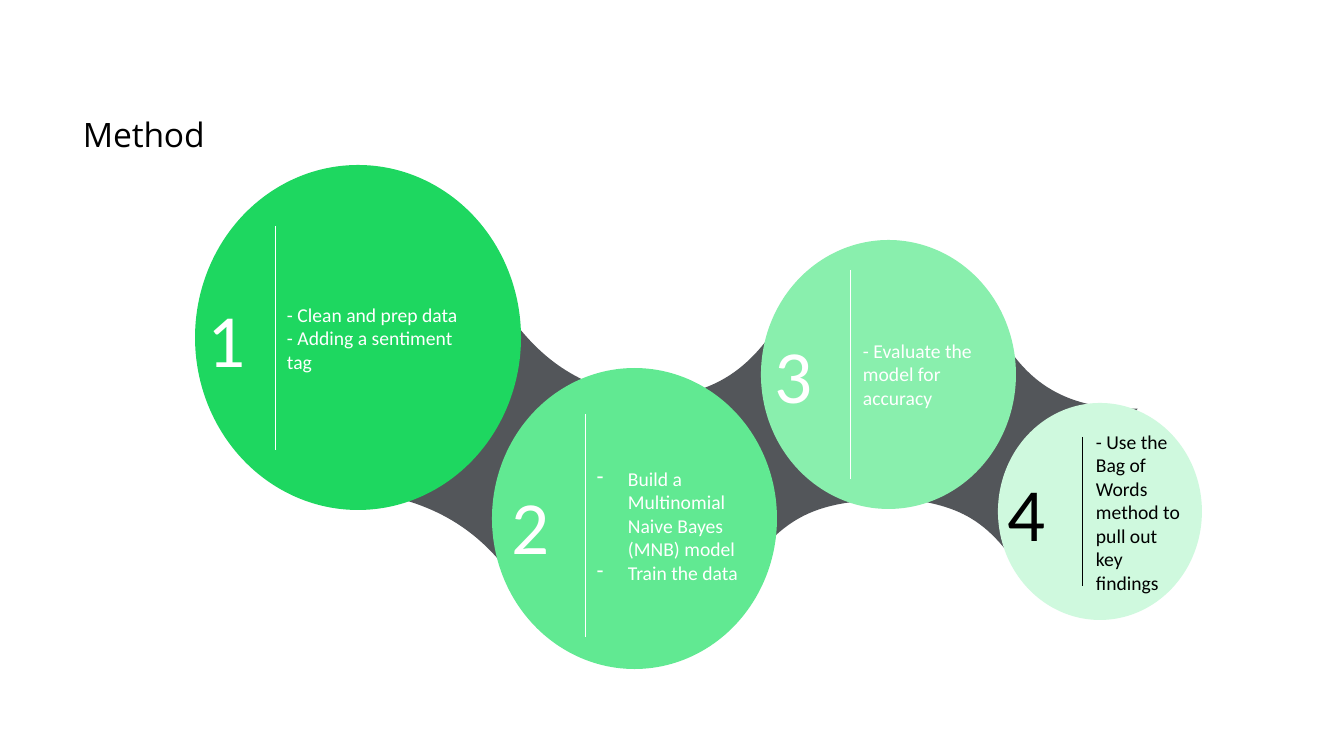
from typing import NamedTuple

from lxml import etree
from pptx import Presentation
from pptx.dml.color import RGBColor
from pptx.enum.shapes import MSO_CONNECTOR, MSO_SHAPE
from pptx.enum.text import MSO_ANCHOR
from pptx.oxml.ns import qn
from pptx.util import Pt

OVAL = MSO_SHAPE.OVAL
LINE = MSO_CONNECTOR.STRAIGHT
MIDDLE = MSO_ANCHOR.MIDDLE
BOTTOM = MSO_ANCHOR.BOTTOM
SCALE = 914400 / 100.8
WHITE, BLACK, GREY = "FFFFFF", "000000", "53565A"


class Box(NamedTuple):
    left: int
    top: int
    width: int
    height: int


class Link(NamedTuple):
    box: Box
    angle: float


class Step(NamedTuple):
    fill: str
    ink: str
    disc: Box
    digit: tuple[int, int]
    rule: tuple[int, int, int]
    body: Box
    lines: list[str]
    dashed: bool = False


NECK = [(0, 0), (0.43, 0.19), (0.62, 0.15), (1, 0),
        (1, 1), (0.63, 0.8), (0.33, 0.83), (0, 1)]
LINKS = [
    Link(Box(926, 349, 170, 207), 211.5),
    Link(Box(671, 340, 178, 216), 151.2),
    Link(Box(393, 320, 235, 256), 33.7),
]
STEPS = [
    Step("1ED760", WHITE, Box(195, 165, 326, 345), (205, 289), (276, 226, 450),
         Box(287, 302, 193, 72),
         ["- Clean and prep data", "- Adding a sentiment tag"]),
    Step("61E992", WHITE, Box(492, 368, 285, 301), (509, 476), (586, 414, 637),
         Box(597, 466, 150, 119),
         ["Build a Multinomial Naive Bayes (MNB) model", "Train the data"], True),
    Step("89EFAD", WHITE, Box(761, 240, 255, 269), (772, 325), (851, 270, 479),
         Box(863, 338, 115, 72), ["- Evaluate the model for accuracy"]),
    Step("CFF9DE", BLACK, Box(998, 403, 204, 217), (1005, 462), (1083, 437, 586),
         Box(1096, 429, 90, 166),
         ["- Use the Bag of Words method to pull out key findings"]),
]


def px(value: float) -> int:
    return round(value * SCALE)


def color(code: str) -> RGBColor:
    return RGBColor.from_string(code)


def paint(shape, code: str) -> None:
    shape.shadow.inherit = False
    shape.fill.solid()
    shape.fill.fore_color.rgb = color(code)
    shape.line.fill.background()


def bend(lines: list) -> None:
    curve = etree.Element(qn("a:cubicBezTo"))
    lines[0].addprevious(curve)
    for line in lines:
        curve.append(line[0])
        line.getparent().remove(line)


def add_link(slide, link: Link) -> None:
    left, top, width, height = link.box
    start, *rest = [(px(left + x * width), px(top + y * height)) for x, y in NECK]
    outline = slide.shapes.build_freeform(*start)
    outline.add_line_segments(rest, close=True)
    shape = outline.convert_to_shape()
    lines = list(shape._element.iter(qn("a:lnTo")))
    bend(lines[:3])
    bend(lines[4:7])
    shape.rotation = link.angle
    paint(shape, GREY)


def add_text(slide, box: Box, lines: list[str], size: float, ink: str,
             font: str = "Calibri", anchor=MIDDLE, inset: int = 0) -> list:
    frame = slide.shapes.add_textbox(*map(px, box)).text_frame
    frame.word_wrap = True
    frame.vertical_anchor = anchor
    frame.margin_left = frame.margin_right = px(inset)
    frame.margin_top = frame.margin_bottom = px(inset)
    paras = []
    for index, line in enumerate(lines):
        para = frame.add_paragraph() if index else frame.paragraphs[0]
        run = para.add_run()
        run.text = line
        run.font.size = Pt(size)
        run.font.name = font
        run.font.color.rgb = color(ink)
        paras.append(para)
    return paras


def add_dash(para) -> None:
    props = para._p.get_or_add_pPr()
    props.set("marL", str(px(31)))
    props.set("indent", str(-px(31)))
    etree.SubElement(props, qn("a:buChar")).set("char", "-")


def add_rule(slide, rule: tuple[int, int, int], ink: str) -> None:
    x, top, bottom = rule
    line = slide.shapes.add_connector(LINE, px(x), px(top), px(x), px(bottom))
    line.line.color.rgb = color(ink)
    line.line.width = Pt(0.75)
    etree.SubElement(line._element.spPr, qn("a:effectLst"))


def add_step(slide, number: int, step: Step) -> None:
    paint(slide.shapes.add_shape(OVAL, *map(px, step.disc)), step.fill)
    paras = add_text(slide, step.body, step.lines, 14, step.ink)
    if step.dashed:
        for para in paras:
            add_dash(para)
    add_text(slide, Box(*step.digit, 92, 98), [str(number)], 53.6, step.ink, inset=3)
    add_rule(slide, step.rule, step.ink)


def add_title(slide) -> None:
    box = Box(82, 71, 1234, 84)
    para, = add_text(slide, box, ["Method"], 24, BLACK, "Open Sans", BOTTOM)
    para.line_spacing = 0.9
    para.space_before = Pt(1)
    para._p.get_or_add_pPr().set("marL", str(px(1)))
    para.runs[0].font._element.set("spc", "-10")


def main() -> None:
    deck = Presentation()
    deck.slide_width, deck.slide_height = px(1344), px(756)
    slide = deck.slides.add_slide(deck.slide_layouts[6])
    for link in LINKS:
        add_link(slide, link)
    for number, step in enumerate(STEPS, 1):
        add_step(slide, number, step)
    add_title(slide)
    deck.save("out.pptx")


main()
